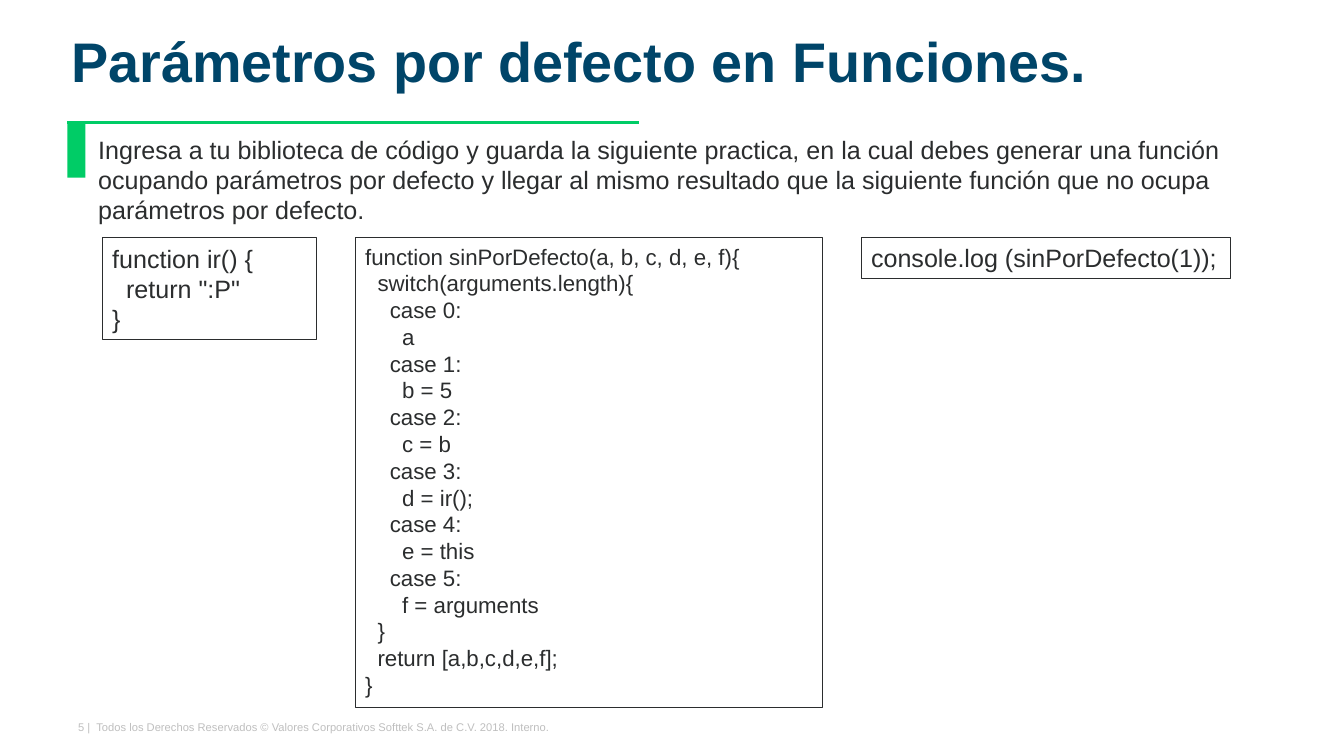
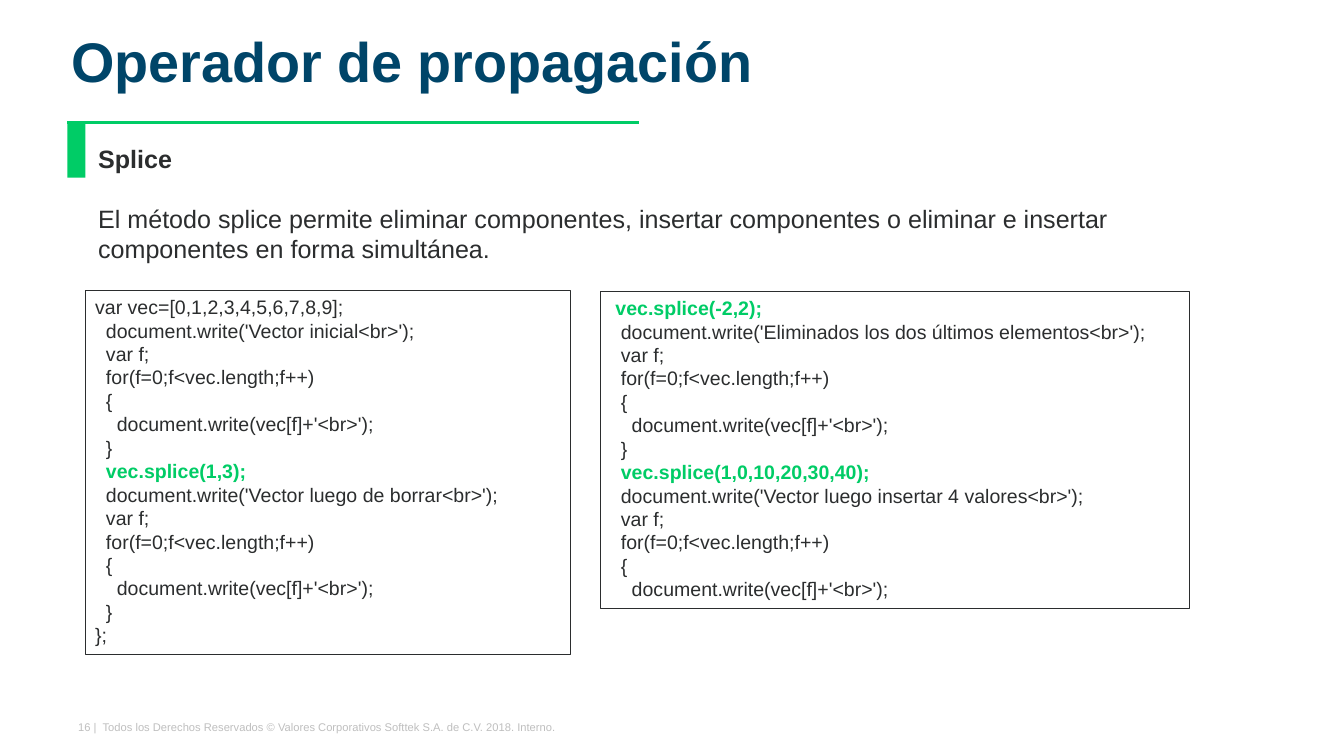
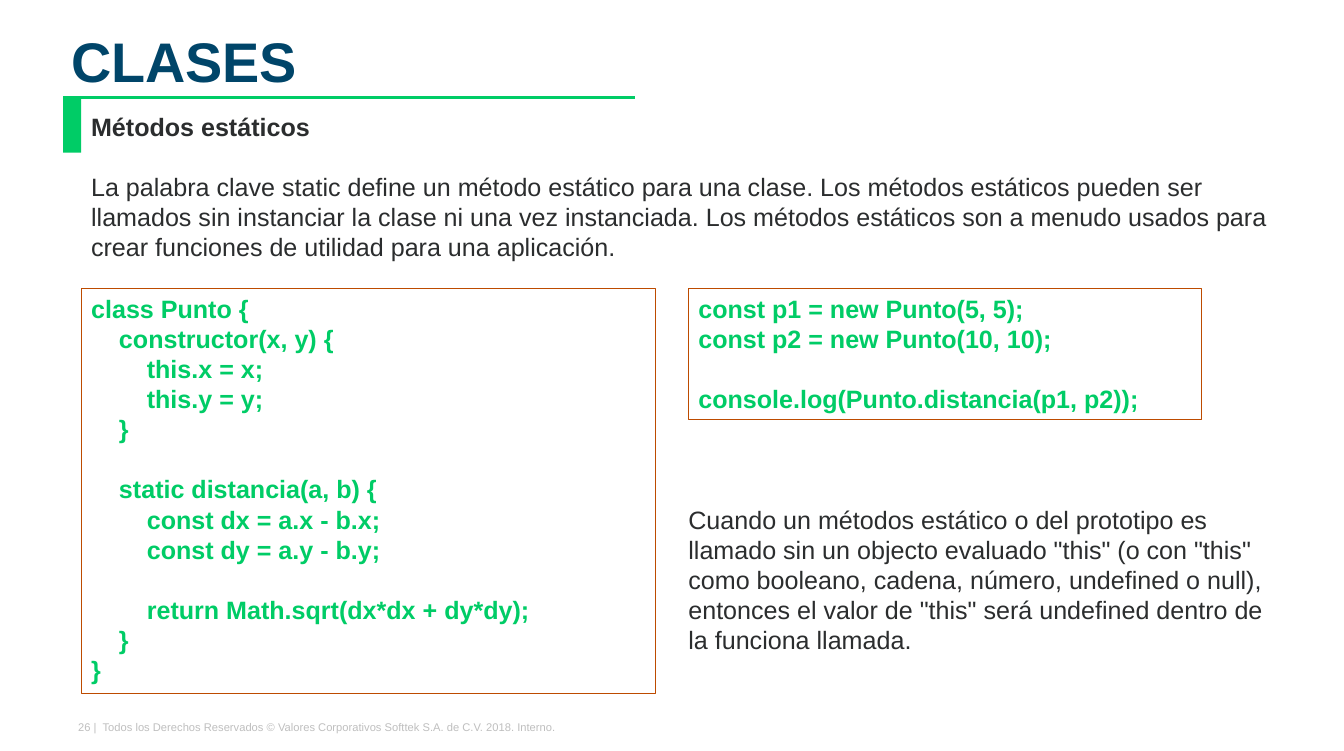
import pptx
import pptx.util
import pptx.dml.color
import pptx.enum.shapes
import pptx.enum.text
import pptx.oxml.ns
from lxml import etree

Inches, Pt = pptx.util.Inches, pptx.util.Pt

# Shared style
COLORS = {"title": "004569", "accent": "00CC66", "text": "2B2D2E",
          "rust": "BD4B00", "footer": "BFBFBF"}
FONT = "Arial"
LINE = 1.2        # line pitch as a multiple of the text size
BOX_LINE = 1.212  # line allowance used to size the boxes
FOOTER = ("{} |  Todos los Derechos Reservados © Valores Corporativos "
          "Softtek S.A. de C.V. 2018. Interno.")

# Content: an empty line stands for a gap before the next one
IR = """function ir() {
  return ":P"
}"""

SIN_POR_DEFECTO = """function sinPorDefecto(a, b, c, d, e, f){
  switch(arguments.length){
    case 0:
      a
    case 1:
      b = 5
    case 2:
      c = b
    case 3:
      d = ir();
    case 4:
      e = this
    case 5:
      f = arguments
  }
  return [a,b,c,d,e,f];
}"""

PRINT_LOOP = """  var f;
  for(f=0;f<vec.length;f++)
  {
    document.write(vec[f]+'<br>');"""

SPLICE_DELETE = f"""var vec=[0,1,2,3,4,5,6,7,8,9];
  document.write('Vector inicial<br>');
{PRINT_LOOP}
  }}
  vec.splice(1,3);
  document.write('Vector luego de borrar<br>');
{PRINT_LOOP}
  }}
}};"""

SPLICE_INSERT = f""" vec.splice(-2,2);
  document.write('Eliminados los dos últimos elementos<br>');
{PRINT_LOOP}
  }}
  vec.splice(1,0,10,20,30,40);
  document.write('Vector luego insertar 4 valores<br>');
{PRINT_LOOP}"""

PUNTO = """class Punto {
    constructor(x, y) {
        this.x = x;
        this.y = y;
    }

    static distancia(a, b) {
        const dx = a.x - b.x;
        const dy = a.y - b.y;

        return Math.sqrt(dx*dx + dy*dy);
    }
}"""

USE_PUNTO = """const p1 = new Punto(5, 5);
const p2 = new Punto(10, 10);

console.log(Punto.distancia(p1, p2));"""

GREEN = dict(color="accent", bold=True, border="rust")

# prose: left, top, width, lines shown, heading, text
# code: left, top, width, text, format
SLIDES = [
    dict(number=5, title="Parámetros por defecto en Funciones.", marker=(0.67, 1.22),
         prose=[(0.88, 1.29, 11.72, 3, None,
                 "Ingresa a tu biblioteca de código y guarda la siguiente practica, en la cual "
                 "debes generar una función ocupando parámetros por defecto y llegar al mismo "
                 "resultado que la siguiente función que no ocupa parámetros por defecto.")],
         code=[(1.02, 2.37, 2.13, IR, {}),
               (3.54, 2.37, 4.65, SIN_POR_DEFECTO, dict(size=16)),
               (8.58, 2.37, 3.68, "console.log (sinPorDefecto(1));", dict(wrap=False))]),
    dict(number=16, title="Operador de propagación", marker=(0.67, 1.22),
         prose=[(0.88, 1.38, 11.24, 4, "Splice",
                 "El método splice permite eliminar componentes, insertar componentes o "
                 "eliminar e insertar componentes en forma simultánea.")],
         code=[(0.85, 2.89, 4.83, SPLICE_DELETE, dict(size=14, highlight="vec.splice")),
               (5.98, 2.9, 5.87, SPLICE_INSERT, dict(size=14, highlight="vec.splice"))]),
    dict(number=26, title="CLASES", marker=(0.63, 0.97),
         prose=[(0.81, 1.06, 12.06, 5, "Métodos estáticos",
                 "La palabra clave static define un método estático para una clase. Los métodos "
                 "estáticos pueden ser llamados sin instanciar la clase ni una vez instanciada. "
                 "Los métodos estáticos son a menudo usados para crear funciones de utilidad "
                 "para una aplicación."),
                (6.76, 4.97, 6.01, 5, None,
                 "Cuando un métodos estático o del prototipo es llamado sin un objecto evaluado "
                 "\"this\" (o con \"this\" como booleano, cadena, número, undefined o null), "
                 "entonces el valor de \"this\" será undefined dentro de la funciona llamada.")],
         code=[(6.86, 2.87, 5.11, USE_PUNTO, GREEN),
               (0.81, 2.87, 5.72, PUNTO, GREEN)]),
]


def rgb(name):
    return pptx.dml.color.RGBColor.from_string(COLORS[name])


def write(tf, text, size=18, color="text", bold=False, heading=None, highlight=None,
          pitch=None, wrap=True):
    """Write one paragraph per line; empty lines become space before the next."""
    tf.word_wrap = wrap
    pitch = Pt(pitch or size * LINE)
    lines = ([heading, ""] if heading else []) + text.split("\n")
    p, gap = None, False
    for line in lines:
        if not line:
            gap = True
            continue
        p = tf.add_paragraph() if p is not None else tf.paragraphs[0]
        p.alignment = pptx.enum.text.PP_ALIGN.LEFT
        p.line_spacing = pitch
        if gap:
            p.space_before = pitch
        gap = False
        marked = bool(highlight and highlight in line)
        r = p.add_run()
        r.text = line
        r.font.name, r.font.size = FONT, Pt(size)
        r.font.bold = bold or marked or line == heading
        r.font.color.rgb = rgb("accent" if marked else color)


def add_text(s, left, top, width, height, text, border=None, **fmt):
    sp = s.shapes.add_textbox(Inches(left), Inches(top), Inches(width), Inches(height))
    if border:
        sp.line.color.rgb = rgb(border)
        sp.line.width = Pt(0.75)
    write(sp.text_frame, text, **fmt)


def box_height(lines, size=18):
    return round(lines * size * BOX_LINE / 72 + 0.1, 2)


def add_title(s, text):
    sp = s.shapes.title
    sp.left, sp.top, sp.width, sp.height = map(Inches, (0.63, 0.09, 10.53, 0.86))
    tf = sp.text_frame
    tf.auto_size = pptx.enum.text.MSO_AUTO_SIZE.NONE
    tf.vertical_anchor = pptx.enum.text.MSO_ANCHOR.BOTTOM
    tf.margin_left, tf.margin_bottom = Inches(0.08), Inches(0.02)
    write(tf, text, size=40, color="title", bold=True, pitch=29.9)


def add_marker(s, left, top):
    """Green rule with a short bar hanging from its left end."""
    group = s.shapes.add_group_shape()
    x, y = Inches(left), Inches(top)
    rule = group.shapes.add_connector(
        pptx.enum.shapes.MSO_CONNECTOR.STRAIGHT, x, y, x + Inches(5.7), y)
    rule.line.color.rgb = rgb("accent")
    rule.line.width = Pt(2)
    etree.SubElement(rule._element.spPr, pptx.oxml.ns.qn("a:effectLst"))
    bar = group.shapes.add_shape(
        pptx.enum.shapes.MSO_SHAPE.RECTANGLE, x, y, Inches(0.18), Inches(0.55))
    bar.shadow.inherit = False
    bar.fill.solid()
    bar.fill.fore_color.rgb = rgb("accent")
    bar.line.fill.background()


def main():
    prs = pptx.Presentation()
    prs.slide_width, prs.slide_height = Inches(13.39), Inches(7.48)
    for content in SLIDES:
        s = prs.slides.add_slide(prs.slide_layouts[5])
        add_text(s, 0.68, 7.13, 7.48, 0.16, FOOTER.format(content["number"]),
                 size=8, color="footer")
        add_title(s, content["title"])
        add_marker(s, *content["marker"])
        for left, top, width, lines, heading, text in content["prose"]:
            add_text(s, left, top, width, box_height(lines), text, heading=heading)
        for left, top, width, text, fmt in content["code"]:
            height = box_height(len(text.split("\n")), fmt.get("size", 18))
            add_text(s, left, top, width, height, text, **{"border": "text", **fmt})
    prs.save("out.pptx")


if __name__ == "__main__":
    main()
